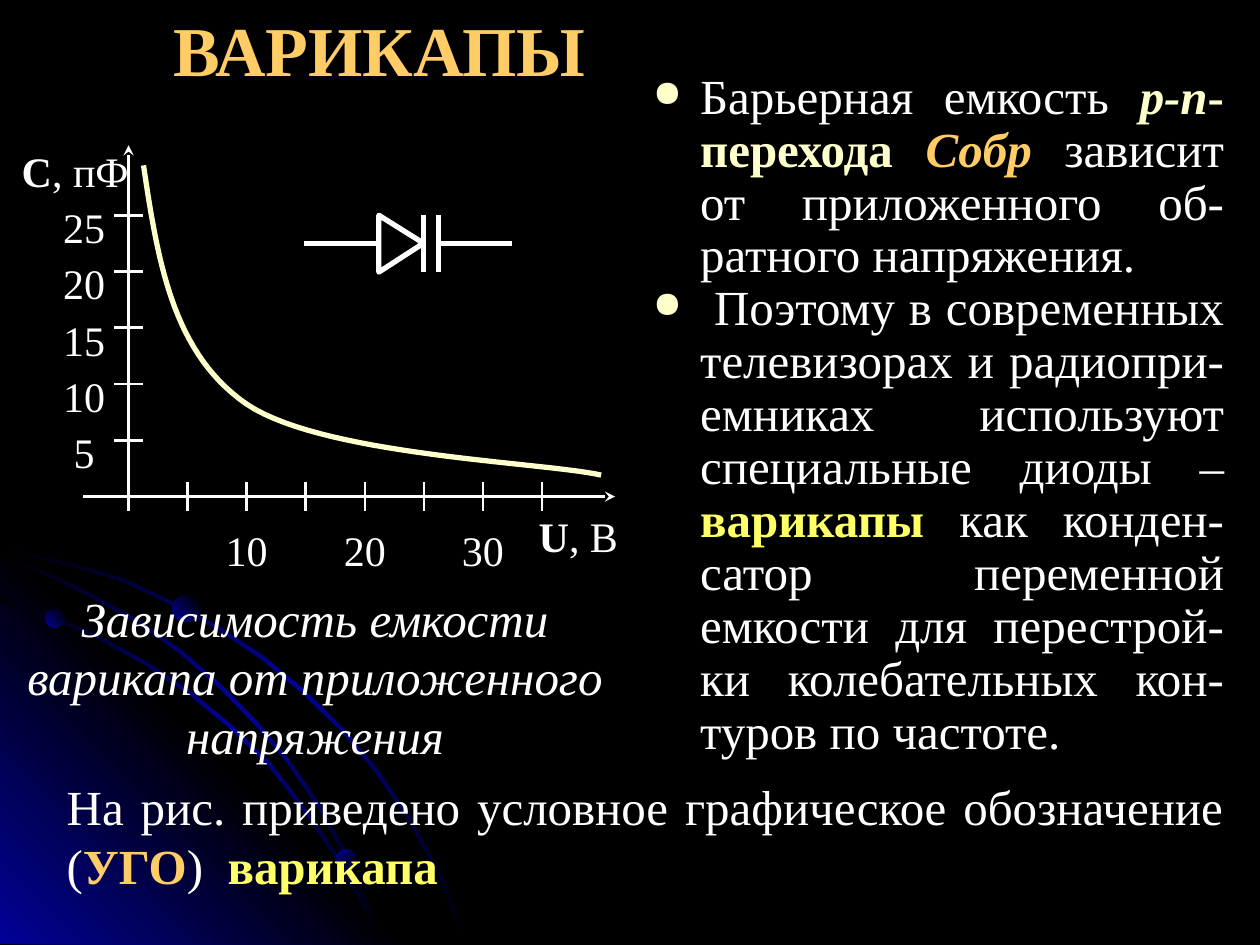
"""Build a slide on varicaps: capacitance curve, circuit symbol and explanation."""
from lxml.etree import SubElement
from pptx import Presentation
from pptx.dml.color import RGBColor
from pptx.enum.shapes import MSO_CONNECTOR as Connector, MSO_SHAPE as Shape
from pptx.enum.text import MSO_ANCHOR as Anchor, PP_ALIGN as Align
from pptx.oxml import parse_xml
from pptx.oxml.ns import nsdecls, qn
from pptx.util import Pt

COLORS = {"white": "FFFFFF", "black": "000000", "blue": "010199",
          "cream": "FFFFCC", "gold": "FFCC66", "yellow": "FFFF66"}
FONT = "Times New Roman"
ORIGIN_X, ORIGIN_Y = 73.5, 283.75
STEP_X, STEP_Y = 33.75, 32.15
TICK = 8.25
ARCS = [
    [(0, 313), (20, 317), (41, 322), (70.5, 330.5), (98, 343.5), (125, 358),
     (150.5, 375), (174, 394.5), (196, 416), (216, 440), (234, 466.5),
     (244, 484.5), (253.5, 502.5), (260.5, 520.5), (268, 539.5)],
    [(0, 342), (29.5, 351.5), (57, 363.5), (84, 378.5), (109.5, 395.5),
     (132.5, 414.5), (155, 436.5), (174, 461), (191.5, 486.5),
     (206, 512.5), (213, 525.5), (218, 539.5)],
    [(0, 318), (28, 327.5), (54.5, 340.5), (80, 355), (103.5, 371.5),
     (126, 391), (147, 412.5), (165, 434), (183, 460), (193.5, 479),
     (203, 499), (211.5, 518.5), (218, 539.5)],
]
BEADS = [(26, 348, 10.75, 315), (192, 485.5, 11.5, 45), (98.5, 340.5, 15, 315)]
CURVE = [
    [(82, 94.5), (90, 147.5), (98, 201.5), (141, 231)],
    [(141, 231), (185, 260.5), (309.5, 264), (343.5, 271.5)],
]


def rgb(name):
    return RGBColor.from_string(COLORS[name])


def apply_gradient(shape, names, angle):
    shape.shadow.inherit = False
    shape.line.fill.background()
    last = len(names) - 1
    stops = "".join(
        f'<a:gs pos="{100000 * i // last}"><a:srgbClr val="{COLORS[name]}"/></a:gs>'
        for i, name in enumerate(names))
    gradient = parse_xml(
        f'<a:gradFill {nsdecls("a")} rotWithShape="1"><a:gsLst>{stops}</a:gsLst>'
        f'<a:lin ang="{angle * 60000}" scaled="0"/></a:gradFill>')
    shape.element.spPr.find(qn("a:ln")).addprevious(gradient)


def add_outline(shapes, points, close=True):
    first, *rest = [(Pt(x), Pt(y)) for x, y in points]
    builder = shapes.build_freeform(*first)
    builder.add_line_segments(rest, close=close)
    return builder.convert_to_shape()


def add_stroke(shapes, points, color, close=False):
    shape = add_outline(shapes, points, close)
    shape.shadow.inherit = False
    shape.fill.background()
    shape.line.color.rgb = rgb(color)
    shape.line.width = Pt(3)


def add_line(shapes, start, end, width=1.5, arrow=False):
    line = shapes.add_connector(Connector.STRAIGHT, *map(Pt, start + end))
    line.line.color.rgb = rgb("white")
    line.line.width = Pt(width)
    if arrow:
        SubElement(line.line._get_or_add_ln(), qn("a:tailEnd"), type="stealth")
    SubElement(line._element.spPr, qn("a:effectLst"))


def add_run(para, text, size, color="white", bold=False, italic=False):
    span = para.add_run()
    span.text = text
    font = span.font
    font.name, font.size = FONT, Pt(size)
    font.bold, font.italic = bold, italic
    font.color.rgb = rgb(color)


def add_text(shapes, place, paragraphs, size, align=Align.CENTER, inset=True):
    box = shapes.add_textbox(*map(Pt, place))
    frame = box.text_frame
    frame.word_wrap = True
    frame.vertical_anchor = Anchor.TOP
    if not inset:
        frame.margin_left = frame.margin_right = Pt(0)
        frame.margin_top = frame.margin_bottom = Pt(0)
    for i, runs in enumerate(paragraphs):
        para = frame.add_paragraph() if i else frame.paragraphs[0]
        para.alignment = align
        for text, *style in runs:
            add_run(para, text, size, *style)
    return frame


def add_bullet(para):
    para.line_spacing = 0.9
    props = para._p.get_or_add_pPr()
    props.set("marL", str(Pt(27)))
    props.set("indent", str(-Pt(27)))
    color = SubElement(props, qn("a:buClr"))
    SubElement(color, qn("a:srgbClr"), val=COLORS["cream"])
    SubElement(props, qn("a:buSzPct"), val="75000")
    SubElement(props, qn("a:buChar"), char="●")


def add_backdrop(page):
    page.background.fill.solid()
    page.background.fill.fore_color.rgb = rgb("black")
    shapes = page.shapes.add_group_shape().shapes
    bands = [arc + [(max(x - 1.4, 0), min(y + 1.4, 539.5)) for x, y in reversed(arc)]
             for arc in ARCS]
    corner = [(232, 539.5), (0, 539.5), (0, 307.5)]
    apply_gradient(add_outline(shapes, bands[0]), ["black", "blue", "black"], 45)
    apply_gradient(add_outline(shapes, corner), ["blue", "black", "blue"], 315)
    for band in bands[1:]:
        apply_gradient(add_outline(shapes, band), ["black", "blue", "black"], 45)
    for left, top, size, angle in BEADS:
        bead = shapes.add_shape(Shape.OVAL, *map(Pt, (left, top, size, size)))
        apply_gradient(bead, ["blue", "black"], angle)


def bezier(nodes, steps=30):
    for i in range(steps + 1):
        t = i / steps
        weights = ((1 - t) ** 3, 3 * t * (1 - t) ** 2, 3 * t * t * (1 - t), t ** 3)
        yield tuple(sum(w * node[axis] for w, node in zip(weights, nodes))
                    for axis in (0, 1))


def add_graph(shapes):
    add_line(shapes, (ORIGIN_X, ORIGIN_Y + TICK), (ORIGIN_X, 83), arrow=True)
    add_line(shapes, (47.5, ORIGIN_Y), (351.5, ORIGIN_Y), arrow=True)
    for i in range(1, 6):
        y = ORIGIN_Y - i * STEP_Y
        add_line(shapes, (ORIGIN_X - TICK, y), (ORIGIN_X + TICK, y))
        add_text(shapes, (31, y - 7.75, 34, 24.5), [[(str(5 * i),)]], 24, inset=False)
    for i in range(1, 8):
        x = ORIGIN_X + i * STEP_X
        add_line(shapes, (x, ORIGIN_Y - TICK), (x, ORIGIN_Y + TICK))
        if i in (2, 4, 6):
            add_text(shapes, (x - 17, 300, 34, 24.5), [[(str(5 * i),)]], 24, inset=False)
    add_text(shapes, (0, 83, 73.5, 32), [[("С", "white", True), (", пФ",)]],
             24, Align.RIGHT, inset=False)
    add_text(shapes, (301, 292, 59, 24.5), [[("U", "white", True), (", В",)]],
             24, inset=False)
    points = [point for nodes in CURVE for point in bezier(nodes)]
    add_stroke(shapes, points, "cream")


def add_symbol(shapes):
    top, middle, bottom = 123, 139, 155.5
    left, tip, plate = 216.5, 242, 250.5
    add_stroke(shapes, [(left, bottom), (left, top), (tip, middle)], "white", close=True)
    for x in (tip, plate):
        add_line(shapes, (x, top), (x, bottom), 3)
    for start, end in ((174, left), (plate, 292.5)):
        add_line(shapes, (start, middle), (end, middle), 3)


def main():
    deck = Presentation()
    deck.slide_width, deck.slide_height = Pt(720), Pt(540)
    page = deck.slides.add_slide(deck.slide_layouts[6])
    add_backdrop(page)
    body = add_text(page.shapes, (366, 37.5, 340.5, 408), [
        [("Барьерная емкость ",), ("p-n", "cream", True, True),
         ("-перехода ", "cream", True), ("Собр", "gold", True, True),
         (" зависит от приложенного об-ратного напряжения.",)],
        [(" Поэтому в современных телевизорах и радиопри-емниках "
          "используют специальные диоды – ",), ("варикапы", "yellow", True),
         (" как конден-сатор переменной емкости для перестрой-ки "
          "колебательных кон-туров по частоте.",)],
    ], 28, Align.JUSTIFY)
    for para in body.paragraphs:
        add_bullet(para)
    add_text(page.shapes, (0, 332.5, 360, 114), [
        [("Зависимость емкости варикапа от приложенного напряжения",
          "white", False, True)]], 28)
    figure = page.shapes.add_group_shape().shapes
    add_graph(figure)
    add_symbol(figure)
    add_text(page.shapes, (31, 440, 675, 74), [
        [("На рис. приведено условное графическое обозначение (",),
         ("УГО", "gold", True), (")  ",), ("варикапа", "yellow", True)]],
        28, Align.JUSTIFY)
    add_text(page.shapes, (0, 0, 433.5, 55.5), [[("ВАРИКАПЫ", "gold", True)]], 40)
    deck.save("out.pptx")


main()
